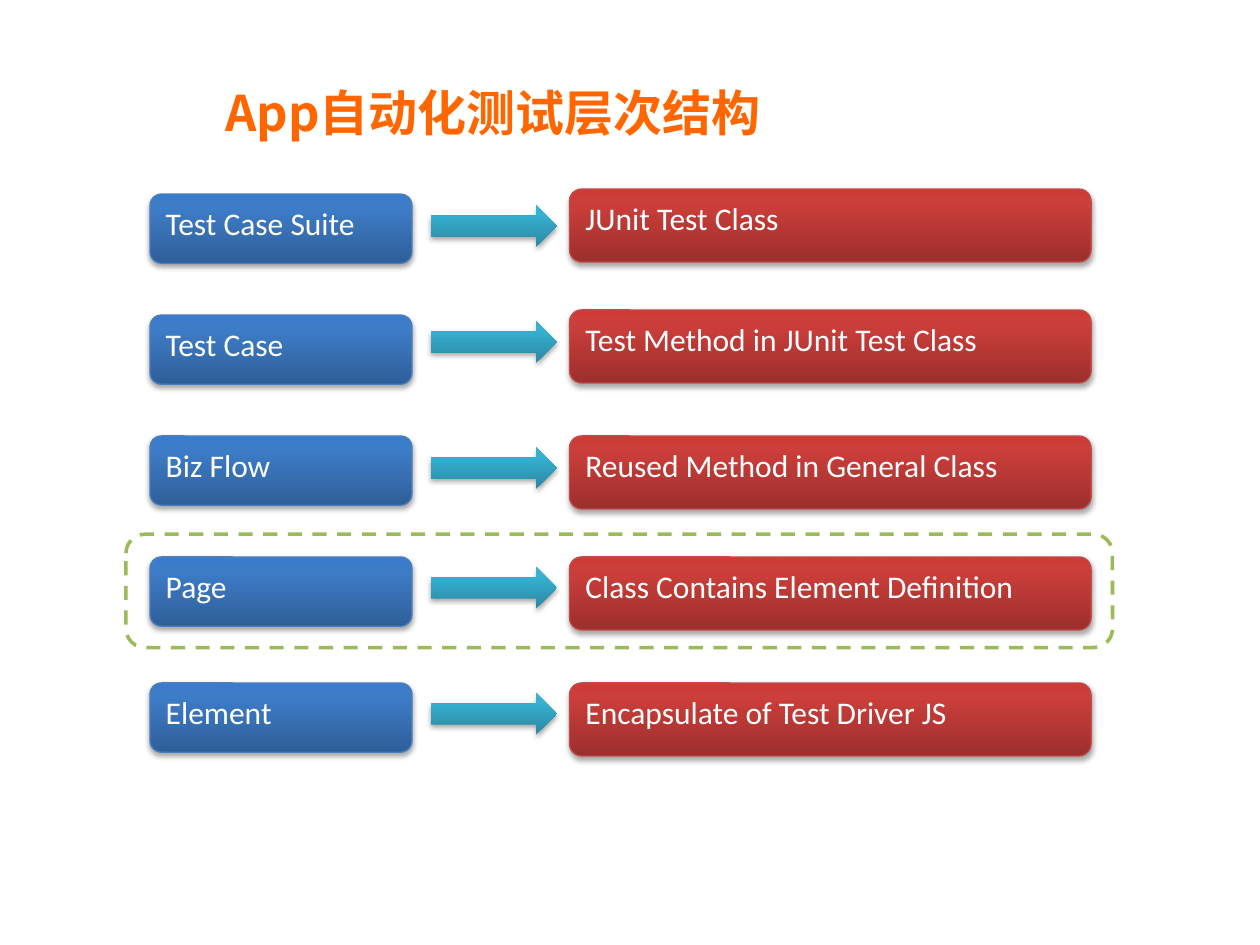
from lxml import etree
from pptx import Presentation
from pptx.dml.color import RGBColor
from pptx.enum.dml import MSO_LINE
from pptx.enum.shapes import MSO_SHAPE as SHAPE
from pptx.enum.text import MSO_ANCHOR, MSO_AUTO_SIZE, PP_ALIGN
from pptx.oxml import parse_xml
from pptx.oxml.ns import qn
from pptx.util import Inches, Pt

TITLE = "App自动化测试层次结构"
# layer, implementation, then the tops of the layer box, implementation box and arrow
ROWS = [
    ("Test Case Suite", "JUnit Test Class", 1.54, 1.5, 1.63),
    ("Test Case", "Test Method in JUnit Test Class", 2.5, 2.46, 2.55),
    ("Biz Flow", "Reused Method in General Class", 3.46, 3.46, 3.55),
    ("Page", "Class Contains Element Definition", 4.42, 4.42, 4.5),
    ("Element", "Encapsulate of Test Driver JS", 5.42, 5.42, 5.5),
]
COLORS = {"title": "FF6600", "text": "FFFFFF", "highlight": "9BBB59",
          "layer_line": "4B7EBC", "impl_line": "BF4C48"}
# Gradient stops at 0, 80 and 100 percent, bottom to top
GRADIENTS = {
    "layer": ("2F5F99", "3D7CC7", "3A7CCB"),
    "impl": ("9C2F2D", "CB3E3A", "CE3B37"),
    "arrow": ("2A88A2", "37B1D2", "34B4D6"),
}
NS = 'xmlns:a="http://schemas.openxmlformats.org/drawingml/2006/main"'


def rgb(name):
    return RGBColor.from_string(COLORS[name])


def add_shape(slide, kind, left, top, width, height):
    sp = slide.shapes.add_shape(kind, Inches(left), Inches(top), Inches(width), Inches(height))
    sp.shadow.inherit = False
    return sp


def style_gradient(sp, stops):
    """Vertical three-stop gradient with a soft shadow below."""
    sp.fill.gradient()
    grad = sp._element.spPr.find(qn("a:gradFill"))
    gs = "".join(f'<a:gs pos="{pos}000"><a:srgbClr val="{color}"/></a:gs>'
                 for pos, color in zip((0, 80, 100), stops))
    grad.getparent().replace(grad, parse_xml(
        f'<a:gradFill {NS} rotWithShape="1"><a:gsLst>{gs}</a:gsLst>'
        '<a:lin ang="16200000" scaled="0"/></a:gradFill>'))
    effects = sp._element.spPr.find(qn("a:effectLst"))
    effects.append(parse_xml(
        f'<a:outerShdw {NS} blurRad="{Pt(3.1)}" dist="{Pt(1.8)}" dir="5400000" rotWithShape="0">'
        '<a:srgbClr val="000000"><a:alpha val="35000"/></a:srgbClr></a:outerShdw>'))


def add_box(slide, role, text, left, top, width, height):
    sp = add_shape(slide, SHAPE.ROUNDED_RECTANGLE, left, top, width, height)
    style_gradient(sp, GRADIENTS[role])
    sp.line.color.rgb = rgb(role + "_line")
    sp.line.width = Pt(0.75)
    tf = sp.text_frame
    tf.word_wrap = True
    tf.vertical_anchor = MSO_ANCHOR.TOP
    p = tf.paragraphs[0]
    p.alignment = PP_ALIGN.LEFT
    r = p.add_run()
    r.text = text
    r.font.size, r.font.name = Pt(18), "Calibri"
    r.font.color.rgb = rgb("text")


def add_title(slide):
    title = slide.shapes.title
    title.left, title.top = Inches(1.69), Inches(0.6)
    title.width, title.height = Inches(6.17), Inches(0.57)
    tf = title.text_frame
    tf.word_wrap = True
    tf.auto_size = MSO_AUTO_SIZE.NONE
    tf.vertical_anchor = MSO_ANCHOR.MIDDLE
    p = tf.paragraphs[0]
    p.alignment = PP_ALIGN.LEFT
    r = p.add_run()
    r.text = TITLE
    r.font.size, r.font.bold, r.font.name = Pt(28), True, "Noto Sans CJK SC"
    r.font.color.rgb = rgb("title")
    # East Asian typeface follows the Latin one
    latin = r.font._element.find(qn("a:latin"))
    ea = etree.Element(qn("a:ea"), typeface="Noto Sans CJK SC")
    latin.addnext(ea)


def main():
    prs = Presentation()
    prs.slide_width, prs.slide_height = Inches(10), Inches(7.5)
    slide = prs.slides.add_slide(prs.slide_layouts[5])
    add_title(slide)

    # Layer -> implementation rows
    for layer, impl, layer_top, impl_top, arrow_top in ROWS:
        add_box(slide, "layer", layer, 1.19, layer_top, 2.08, 0.55)
        add_box(slide, "impl", impl, 4.52, impl_top, 4.14, 0.58)
        arrow = add_shape(slide, SHAPE.RIGHT_ARROW, 3.42, arrow_top, 1, 0.33)
        style_gradient(arrow, GRADIENTS["arrow"])
        arrow.line.fill.background()

    # Dashed highlight around the Page row
    frame = add_shape(slide, SHAPE.ROUNDED_RECTANGLE, 1, 4.24, 7.83, 0.9)
    frame.fill.background()
    frame.line.color.rgb = rgb("highlight")
    frame.line.width = Pt(2)
    frame.line.dash_style = MSO_LINE.DASH

    prs.save("out.pptx")


if __name__ == "__main__":
    main()
